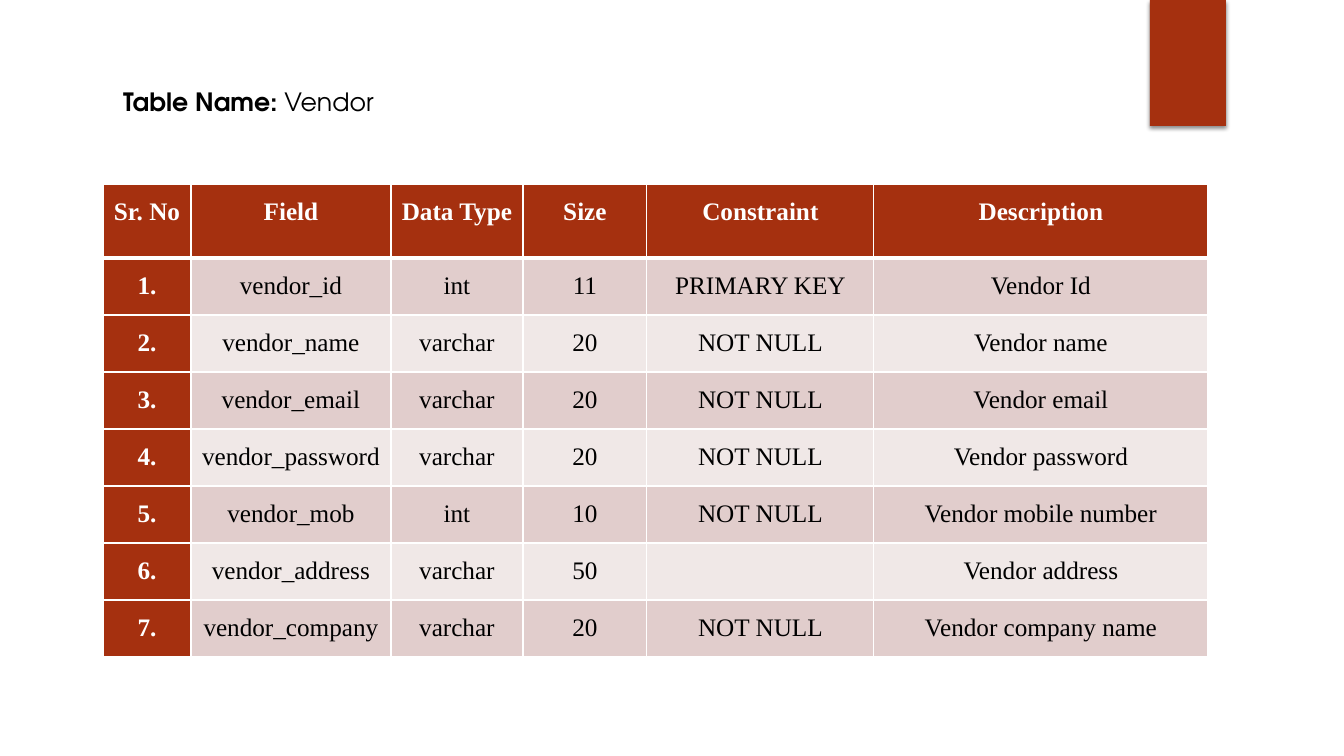
"""Build the slide that describes the fields of the Vendor table."""
from lxml import etree
from pptx import Presentation
from pptx.dml.color import RGBColor
from pptx.enum.shapes import MSO_SHAPE
from pptx.enum.text import MSO_ANCHOR, MSO_AUTO_SIZE, PP_ALIGN
from pptx.oxml import parse_xml
from pptx.oxml.ns import nsdecls, qn
from pptx.util import Emu, Pt

TITLE = [("Table Name: ", True), ("Vendor", False)]
HEADER = ("Sr. No", "Field", "Data Type", "Size", "Constraint", "Description")
FIELDS = [
    ("vendor_id", "int", "11", "PRIMARY KEY", "Vendor Id"),
    ("vendor_name", "varchar", "20", "NOT NULL", "Vendor name"),
    ("vendor_email", "varchar", "20", "NOT NULL", "Vendor email"),
    ("vendor_password", "varchar", "20", "NOT NULL", "Vendor password"),
    ("vendor_mob", "int", "10", "NOT NULL", "Vendor mobile number"),
    ("vendor_address", "varchar", "50", "", "Vendor address"),
    ("vendor_company", "varchar", "20", "NOT NULL", "Vendor company name"),
]

SLIDE_SIZE = (1344, 756)
TAB_BOX = (1150, 0, 76, 126)
TITLE_BOX = (113, 81, 276, 72)
TABLE_ORIGIN = (103, 184)
COLUMN_WIDTHS = (88, 200, 132, 124, 227, 334)
HEADER_HEIGHT, FIELD_HEIGHT = 74, 57
CELL_INSET = 7

TITLE_FONT, TABLE_FONT = "TeX Gyre Adventor", "Times New Roman"
RUST = RGBColor(0xA5, 0x30, 0x0F)
DARK_BAND = RGBColor(0xE1, 0xCD, 0xCC)
LIGHT_BAND = RGBColor(0xF0, 0xE8, 0xE7)
WHITE = RGBColor(0xFF, 0xFF, 0xFF)
BLACK = RGBColor(0, 0, 0)
RECTANGLE = MSO_SHAPE.RECTANGLE
TOP = MSO_ANCHOR.TOP
NO_FIT = MSO_AUTO_SIZE.NONE
LEFT, CENTER = PP_ALIGN.LEFT, PP_ALIGN.CENTER


def px(length):
    """Turn px into EMU."""
    return Emu(round(length * 914400 / 100.8))


def add_run(paragraph, text, font, color, bold):
    """Add one 18 pt run."""
    run = paragraph.add_run()
    run.text = text
    run.font.name, run.font.size, run.font.bold = font, Pt(18), bold
    run.font.color.rgb = color


def add_tab(slide):
    """Draw the shadowed tab at the top edge."""
    tab = slide.shapes.add_shape(RECTANGLE, *map(px, TAB_BOX))
    tab.fill.solid()
    tab.fill.fore_color.rgb = RUST
    tab.line.fill.background()
    tab.shadow.inherit = False
    effects = tab.element.spPr.find(qn("a:effectLst"))
    effects.append(parse_xml(
        f'<a:outerShdw {nsdecls("a")} blurRad="{Pt(3)}" dist="{Pt(2)}" dir="5400000" '
        'rotWithShape="0"><a:srgbClr val="000000"><a:alpha val="45000"/></a:srgbClr>'
        '</a:outerShdw>'))


def fill_title(title):
    """Place the title and write its runs."""
    title.left, title.top, title.width, title.height = map(px, TITLE_BOX)
    frame = title.text_frame
    frame.word_wrap, frame.auto_size, frame.vertical_anchor = False, NO_FIT, TOP
    frame.paragraphs[0].alignment = LEFT
    for text, bold in TITLE:
        add_run(frame.paragraphs[0], text, TITLE_FONT, BLACK, bold)


def set_borders(cell, top, bottom):
    """Give a cell white borders of the given top and bottom weights."""
    properties = cell._tc.get_or_add_tcPr()
    sides = (("lnL", 1), ("lnR", 1), ("lnT", top), ("lnB", bottom))
    for position, (side, weight) in enumerate(sides):
        border = etree.Element(qn(f"a:{side}"), w=str(Pt(weight)))
        paint = etree.SubElement(border, qn("a:solidFill"))
        etree.SubElement(paint, qn("a:srgbClr"), val=str(WHITE))
        properties.insert(position, border)


def fill_cell(cell, text, row, column):
    """Write and colour one cell by its place in the grid."""
    heading = row == 0 or column == 0
    cell.margin_left = cell.margin_right = px(CELL_INSET)
    cell.margin_top = cell.margin_bottom = 0
    cell.fill.solid()
    cell.fill.fore_color.rgb = RUST if heading else DARK_BAND if row % 2 else LIGHT_BAND
    set_borders(cell, 3 if row == 1 else 1, 3 if row == 0 else 1)
    if text:
        paragraph = cell.text_frame.paragraphs[0]
        paragraph.alignment = CENTER
        paragraph.line_spacing, paragraph.space_after = 1.5, Pt(8)
        add_run(paragraph, text, TABLE_FONT, WHITE if heading else BLACK, heading)


def add_field_table(slide):
    """Draw the header and the numbered fields."""
    rows = [HEADER] + [(f"{n}.", *field) for n, field in enumerate(FIELDS, 1)]
    heights = [HEADER_HEIGHT] + [FIELD_HEIGHT] * len(FIELDS)
    box = (*TABLE_ORIGIN, sum(COLUMN_WIDTHS), sum(heights))
    table = slide.shapes.add_table(len(rows), len(HEADER), *map(px, box)).table
    for column, width in zip(table.columns, COLUMN_WIDTHS):
        column.width = px(width)
    for r, (texts, height) in enumerate(zip(rows, heights)):
        table.rows[r].height = px(height)
        for c, text in enumerate(texts):
            fill_cell(table.cell(r, c), text, r, c)


def main():
    """Build and save the deck."""
    deck = Presentation()
    deck.slide_width, deck.slide_height = map(px, SLIDE_SIZE)
    slide = deck.slides.add_slide(deck.slide_layouts[5])
    add_tab(slide)
    fill_title(slide.shapes.title)
    add_field_table(slide)
    deck.save("out.pptx")


if __name__ == "__main__":
    main()
